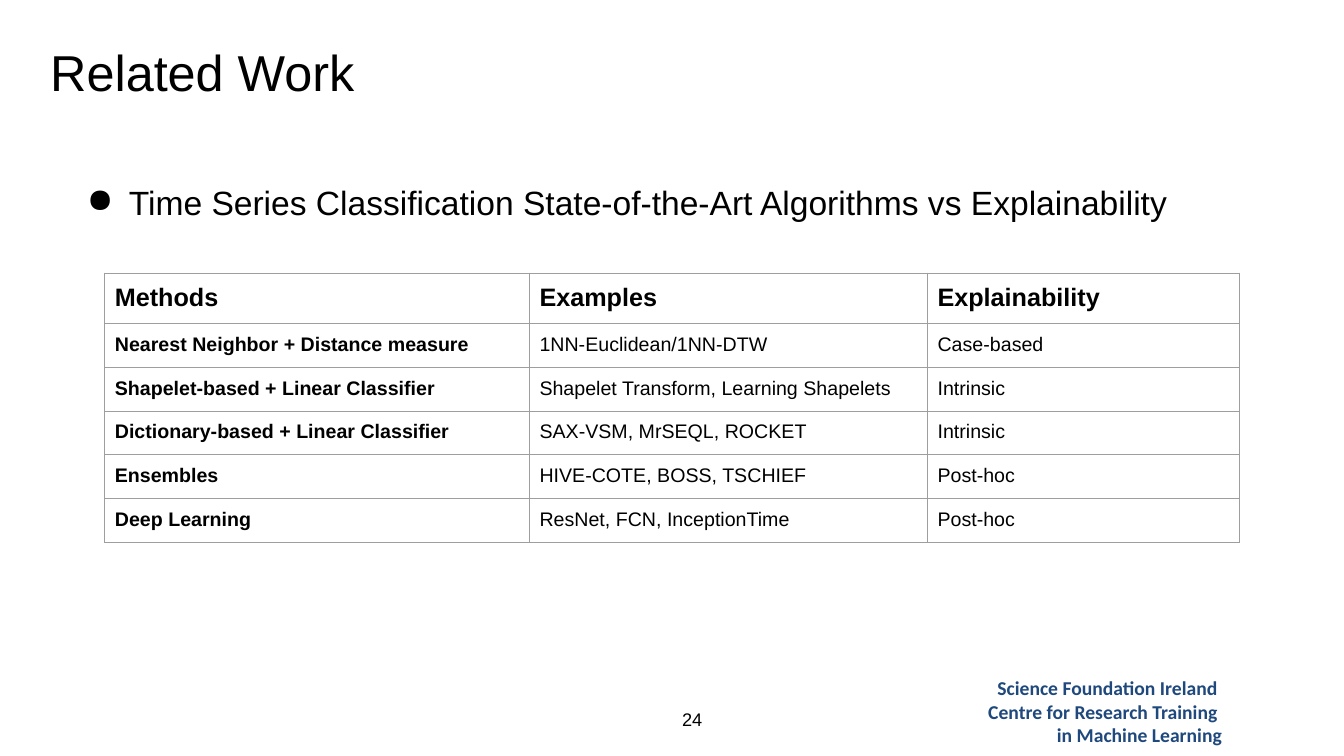
from lxml.etree import SubElement
from pptx import Presentation
from pptx.dml.color import RGBColor
from pptx.enum.text import PP_ALIGN as Align
from pptx.oxml.ns import qn
from pptx.util import Pt

BLACK = RGBColor(0x00, 0x00, 0x00)
NAVY = RGBColor(0x1F, 0x49, 0x7D)
GREY = RGBColor(0x9E, 0x9E, 0x9E)

INSET = 7.2
COLUMN_WIDTHS = (303.5, 284.5, 223)
HEADER_HEIGHT, ROW_HEIGHT = 34.3, 30.15
METHODS = [
    ("Methods", "Examples", "Explainability"),
    ("Nearest Neighbor + Distance measure", "1NN-Euclidean/1NN-DTW", "Case-based"),
    ("Shapelet-based + Linear Classifier", "Shapelet Transform, Learning Shapelets", "Intrinsic"),
    ("Dictionary-based + Linear Classifier", "SAX-VSM, MrSEQL, ROCKET", "Intrinsic"),
    ("Ensembles", "HIVE-COTE, BOSS, TSCHIEF", "Post-hoc"),
    ("Deep Learning", "ResNet, FCN, InceptionTime", "Post-hoc"),
]


def set_margins(holder, vertical=INSET):
    holder.margin_left = holder.margin_right = Pt(INSET)
    holder.margin_top = holder.margin_bottom = Pt(vertical)


def style_runs(paragraph, size, bold=False, color=BLACK, face="Arial"):
    for run in paragraph.runs:
        run.font.size = Pt(size)
        run.font.bold = bold
        run.font.name = face
        run.font.color.rgb = color


def add_text(slide, box, text, size, align=Align.LEFT, vertical=INSET, **style):
    frame = slide.shapes.add_textbox(*map(Pt, box)).text_frame
    frame.word_wrap = True
    set_margins(frame, vertical)
    paragraph = frame.paragraphs[0]
    paragraph.text = text
    paragraph.alignment = align
    style_runs(paragraph, size, **style)
    return paragraph


def add_topic(slide, box, text):
    topic = add_text(slide, box, text, 24)
    topic.line_spacing = 1.15
    properties = topic._p.get_or_add_pPr()
    properties.set("marL", str(Pt(36)))
    properties.set("indent", str(Pt(-30)))
    SubElement(properties, qn("a:buChar"), char="●")


def add_borders(cell):
    properties = cell._tc.get_or_add_tcPr()
    for position, side in enumerate(("a:lnL", "a:lnR", "a:lnT", "a:lnB")):
        line = properties.makeelement(qn(side), {"w": str(Pt(0.75))})
        fill = SubElement(line, qn("a:solidFill"))
        SubElement(fill, qn("a:srgbClr"), val=str(GREY))
        properties.insert(position, line)


def add_methods_table(slide, left, top):
    height = HEADER_HEIGHT + ROW_HEIGHT * (len(METHODS) - 1)
    box = map(Pt, (left, top, sum(COLUMN_WIDTHS), height))
    table = slide.shapes.add_table(len(METHODS), len(COLUMN_WIDTHS), *box).table
    for column, width in zip(table.columns, COLUMN_WIDTHS):
        column.width = Pt(width)
    for row_index, entries in enumerate(METHODS):
        is_header = row_index == 0
        table.rows[row_index].height = Pt(HEADER_HEIGHT if is_header else ROW_HEIGHT)
        for column_index, entry in enumerate(entries):
            cell = table.cell(row_index, column_index)
            set_margins(cell)
            cell.fill.background()
            add_borders(cell)
            cell.text_frame.text = entry
            style_runs(cell.text_frame.paragraphs[0], 18 if is_header else 14,
                       bold=is_header or column_index == 0)


def add_footer(slide, left, top):
    add_text(slide, (left, top, 304.5, 58.3),
             "Science Foundation Ireland \vCentre for Research Training \vin Machine Learning",
             14, Align.RIGHT, vertical=3.6, bold=True, color=NAVY, face="Calibri")
    add_text(slide, (left - 124.5, top + 19.5, 57.5, 41), "24", 13, Align.RIGHT)


def main():
    deck = Presentation()
    deck.slide_width, deck.slide_height = Pt(960.5), Pt(540)
    slide = deck.slides.add_slide(deck.slide_layouts[6])
    add_text(slide, (28.8, 22, 358.5, 55), "Related Work", 36)
    add_topic(slide, (49, 118.5, 808, 175.5),
              "Time Series Classification State-of-the-Art Algorithms vs Explainability")
    add_methods_table(slide, 74.9, 195.1)
    add_footer(slide, 576, 479.5)
    deck.save("out.pptx")


if __name__ == "__main__":
    main()
